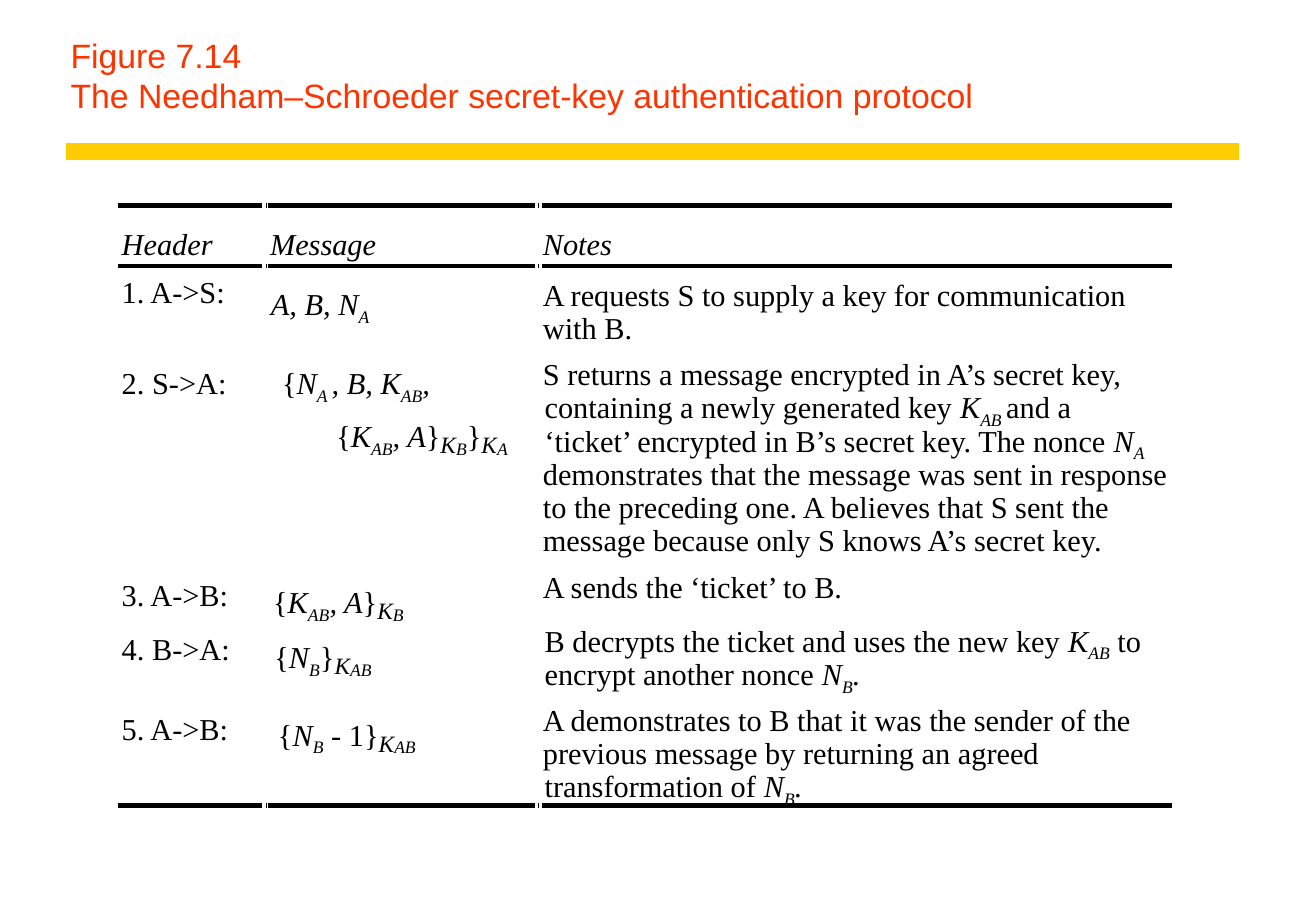
from pptx import Presentation
from pptx.dml.color import RGBColor
from pptx.enum.shapes import MSO_CONNECTOR as CONN
from pptx.enum.text import MSO_ANCHOR as ANCHOR
from pptx.oxml.ns import qn
from pptx.util import Pt
from lxml.etree import SubElement

BLACK = RGBColor(0x00, 0x00, 0x00)
RED = RGBColor(0xFF, 0x33, 0x00)
GOLD = RGBColor(0xFF, 0xCC, 0x00)

PLAIN = {"size": Pt(18), "italic": False}
ITALIC = {"size": Pt(18), "italic": True}
SUB = {"size": Pt(18), "italic": True, "baseline": -25}
KEY = {"size": Pt(24), "italic": True, "baseline": -15}

SEGMENTS = [(69.8, 155.5), (157.5, 157.7), (159.2, 317.5), (319.2, 319.5), (321.2, 695)]
RULES = [121.7, 157.6, 477.4]
HEADER_X, MESSAGE_X, NOTES_X = 72.2, 160.2, 322
LINE_PITCH = 19.72

HEADINGS = [(HEADER_X, 54, "Header"), (MESSAGE_X, 63, "Message"), (NOTES_X, 41, "Notes")]
STEPS = [(162, "1. A->S:"), (216, "2. S->A:"), (341.6, "3. A->B:"),
         (373.8, "4. B->A:"), (420.8, "5. A->B:")]

KAB = [("K", ITALIC), ("AB", SUB)]
NA = [("N", ITALIC), ("A", SUB)]
NB = [("N", ITALIC), ("B", SUB)]
OPEN, CLOSE = ("{", PLAIN), ("}", PLAIN)
UNDER_KB = [("K", KEY), ("B", SUB)]
UNDER_KA = [("K", KEY), ("A", SUB)]
UNDER_KAB = [("K", KEY), ("AB", SUB)]
TICKET = [OPEN, *KAB, (", A", ITALIC), CLOSE, *UNDER_KB]

MESSAGES = [
    (160.7, 169.2, 58, [("A, B, N", ITALIC), ("A", SUB)]),
    (167.3, 216, 106, [OPEN, ("N", ITALIC), ("A ", SUB), (", B, K", ITALIC),
                       ("AB", SUB), (",", ITALIC)]),
    (199.5, 241.5, 102, [*TICKET, CLOSE, *UNDER_KA]),
    (162, 339.8, 78, TICKET),
    (162.7, 372.5, 58, [OPEN, *NB, CLOSE, *UNDER_KAB]),
    (164.9, 418.3, 82, [OPEN, *NB, (" - ", ITALIC), ("1}", PLAIN), *UNDER_KAB]),
]

NOTES = [
    (163.8, [
        (347, [("A requests S to supply a key for communication", PLAIN)]),
        (53, [("with B.", PLAIN)])]),
    (210.6, [
        (348, [("S returns a message encrypted in A’s secret key,", PLAIN)]),
        (312, [("containing a newly generated key ", PLAIN), ("K", ITALIC),
               ("AB ", SUB), ("and a", PLAIN)]),
        (364, [("‘ticket’ encrypted in B’s secret key. The nonce ", PLAIN), *NA]),
        (371, [("demonstrates that the message was sent in response", PLAIN)]),
        (338, [("to the preceding one. A believes that S sent the", PLAIN)]),
        (337, [("message because only S knows A’s secret key.", PLAIN)])]),
    (336.6, [(180, [("A sends the ‘ticket’ to B.", PLAIN)])]),
    (368.7, [
        (354, [("B decrypts the ticket and uses the new key ", PLAIN), *KAB, (" to", PLAIN)]),
        (187, [("encrypt another nonce ", PLAIN), *NB, (".", ITALIC)])]),
    (415.5, [
        (350, [("A demonstrates to B that it was the sender of the", PLAIN)]),
        (294, [("previous message by returning an agreed", PLAIN)]),
        (153, [("transformation of ", PLAIN), *NB, (".", ITALIC)])]),
]


def add_rule(s, x1, x2, y, color, width):
    """Draw a horizontal rule without a shadow."""
    line = s.shapes.add_connector(CONN.STRAIGHT, Pt(x1), Pt(y), Pt(x2), Pt(y))
    line.line.color.rgb = color
    line.line.width = Pt(width)
    SubElement(line._element.spPr, qn("a:effectLst"))


def style_run(r, style, name="Times New Roman", color=BLACK):
    """Set the font of a run, with its baseline shift in percent."""
    r.font.name = name
    r.font.color.rgb = color
    for key, value in style.items():
        if key == "baseline":
            r._r.get_or_add_rPr().set(key, str(value * 1000))
        else:
            setattr(r.font, key, value)


def add_line(s, x, y, w, runs, h=22):
    """Add one line of styled runs, with a little slack in its width."""
    sp = s.shapes.add_textbox(Pt(x), Pt(y), Pt(w + 4), Pt(h))
    tf = sp.text_frame
    margins = dict.fromkeys(("margin_left", "margin_top", "margin_right", "margin_bottom"), 0)
    for key, value in {**margins, "word_wrap": True}.items():
        setattr(tf, key, value)
    for text, style in runs:
        r = tf.paragraphs[0].add_run()
        r.text = text
        style_run(r, style)


def add_title(s, text):
    """Add the figure title, standing on the bottom of its box."""
    sp = s.shapes.add_textbox(Pt(34.8), Pt(18), Pt(700), Pt(54))
    tf = sp.text_frame
    tf.word_wrap = True
    tf.vertical_anchor = ANCHOR.BOTTOM
    p = tf.paragraphs[0]
    p.text = text
    for r in p.runs:
        style_run(r, {"size": Pt(20)}, "Arial", RED)
    for br in p._p.findall(qn("a:br")):
        SubElement(br, qn("a:rPr"), sz="2000")


def main():
    """Build the protocol slide."""
    prs = Presentation()
    prs.slide_width = Pt(780.48)
    prs.slide_height = Pt(540)
    s = prs.slides.add_slide(prs.slide_layouts[6])
    add_rule(s, 39, 734.6, 90, GOLD, 10)
    add_title(s, "Figure 7.14\vThe Needham–Schroeder secret-key authentication protocol")
    for y in RULES:
        for x1, x2 in SEGMENTS:
            add_rule(s, x1, x2, y, BLACK, 2.64)
    for x, w, text in HEADINGS:
        add_line(s, x, 133.2, w, [(text, ITALIC)])
    for y, text in STEPS:
        add_line(s, HEADER_X, y, 64, [(text, PLAIN)])
    for x, y, w, runs in MESSAGES:
        add_line(s, x, y, w, runs, 30)
    for top, lines in NOTES:
        for i, (w, runs) in enumerate(lines):
            indent = 1 if len(runs) > 1 else 0
            add_line(s, NOTES_X + indent, top + i * LINE_PITCH, w, runs)
    prs.save("out.pptx")


if __name__ == "__main__":
    main()
